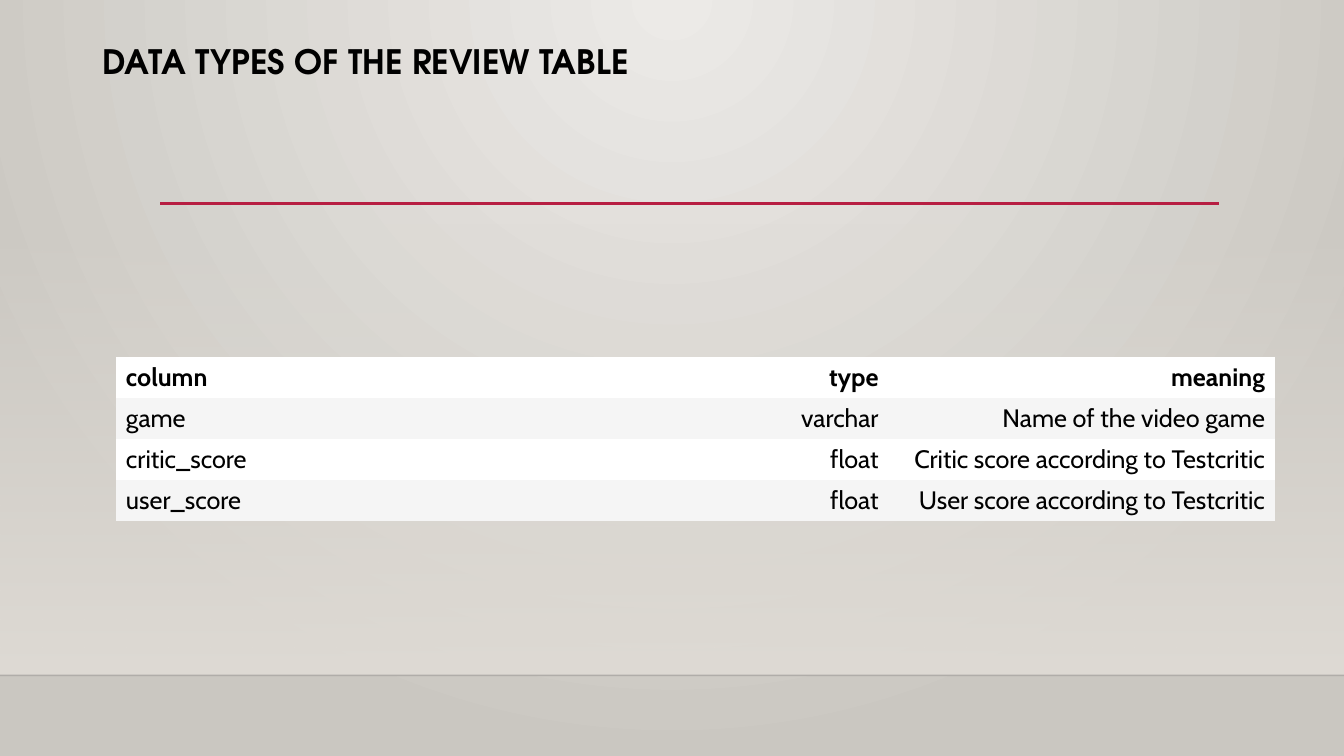
from pptx import Presentation
from pptx.dml.color import RGBColor
from pptx.enum import shapes, text
from pptx.oxml import parse_xml
from pptx.oxml.ns import nsdecls, qn
from pptx.util import Pt

W, H = 960, 540
FLOOR_Y = 482.4
ROWS = [
    ("column", "type", "meaning"),
    ("game", "varchar", "Name of the video game"),
    ("critic_score", "float", "Critic score according to Testcritic"),
    ("user_score", "float", "User score according to Testcritic"),
]


def rgb(value):
    return RGBColor.from_string(value)


def set_alpha(colour, percent):
    colour.append(parse_xml(f'<a:alpha {nsdecls("a")} val="{percent * 1000}"/>'))


def write(tf, content, font, size, bold=False, align=text.PP_ALIGN.LEFT, spacing=1.0):
    p = tf.paragraphs[0]
    p.alignment, p.line_spacing = align, spacing
    r = p.add_run()
    r.text = content
    r.font.name, r.font.size, r.font.bold = font, Pt(size), bold
    r.font.color.rgb = rgb("000000")


def gradient(fill, colours):
    fill.gradient()
    for stop, colour in zip(fill.gradient_stops, colours):
        stop.color.rgb = rgb(colour)


def add_line(s, x1, x2, y, colour, width, alpha=100):
    line = s.shapes.add_connector(shapes.MSO_CONNECTOR.STRAIGHT, Pt(x1), Pt(y), Pt(x2), Pt(y))
    line.line.color.rgb = rgb(colour)
    line.line.width = Pt(width)
    sp_pr = line._element.spPr
    sp_pr.append(parse_xml(f'<a:effectLst {nsdecls("a")}/>'))
    if alpha < 100:
        set_alpha(sp_pr.find(".//" + qn("a:srgbClr")), alpha)


def add_backdrop(s):
    """Radial wall glow, a fade towards the floor, and the floor line."""
    gradient(s.background.fill, ("ECEAE7", "CAC7C1"))
    grad = s._element.find(".//" + qn("a:gradFill"))
    grad.replace(grad.find(qn("a:lin")), parse_xml(
        f'<a:path {nsdecls("a")} path="circle">'
        '<a:fillToRect l="43000" t="0" r="43000" b="100000"/></a:path>'))

    top = 159
    fade = s.shapes.add_shape(shapes.MSO_SHAPE.RECTANGLE, 0, Pt(top), Pt(W), Pt(FLOOR_Y - top))
    fade.shadow.inherit = False
    fade.line.fill.background()
    gradient(fade.fill, ("DFDBD5", "DFDBD5"))
    fade.fill.gradient_angle = 270
    set_alpha(fade._element.spPr.find(".//" + qn("a:srgbClr")), 0)

    add_line(s, 0, W, FLOOR_Y, "000001", 1, alpha=20)


def add_title(s, x, y, w, h):
    title = s.shapes.title
    title.left, title.top, title.width, title.height = Pt(x), Pt(y), Pt(w), Pt(h)
    tf = title.text_frame
    tf.word_wrap = True
    tf.auto_size = text.MSO_AUTO_SIZE.NONE
    tf.vertical_anchor = text.MSO_ANCHOR.TOP
    write(tf, "DATA TYPES OF THE REVIEW TABLE", "TeX Gyre Adventor", 24, bold=True, spacing=0.9)


def add_type_table(s, x, y, w, h):
    frame = s.shapes.add_table(len(ROWS), len(ROWS[0]), Pt(x), Pt(y), Pt(w), Pt(h))
    for i, row in enumerate(ROWS):
        for j, content in enumerate(row):
            cell = frame.table.cell(i, j)
            cell.fill.solid()
            cell.fill.fore_color.rgb = rgb("F5F5F5" if i % 2 else "FFFFFF")
            cell.vertical_anchor = text.MSO_ANCHOR.MIDDLE
            align = text.PP_ALIGN.RIGHT if j else text.PP_ALIGN.LEFT
            write(cell.text_frame, content, "Cabin", 18, bold=i == 0, align=align)
    tbl_pr = frame.table._tbl.tblPr
    tbl_pr.find(qn("a:tableStyleId")).text = "{2D5ABB26-0587-4C30-8999-92F81FD0307C}"


def main():
    prs = Presentation()
    prs.slide_width, prs.slide_height = Pt(W), Pt(H)
    s = prs.slides.add_slide(prs.slide_layouts[5])
    add_backdrop(s)
    add_line(s, 114.5, 871, 145.3, "B71E42", 2.5)
    add_type_table(s, 82.8, 255.3, 828, 117)
    add_title(s, 66.2, 28.8, 828, 41)
    prs.save("out.pptx")


if __name__ == "__main__":
    main()
